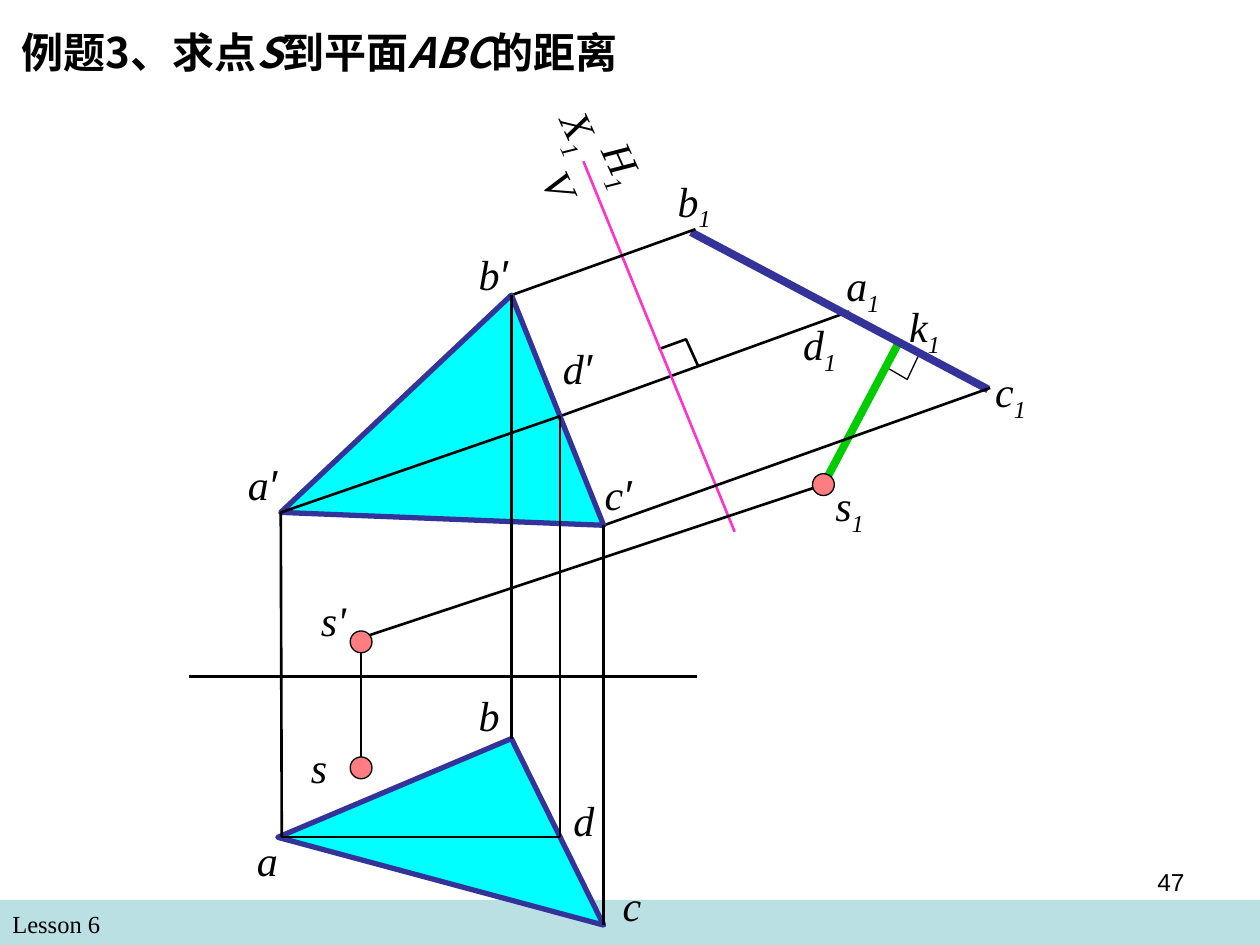
import pptx
import pptx.util
import pptx.dml.color
import pptx.enum.shapes
import pptx.enum.text
import pptx.oxml.ns
from lxml import etree
from pptx.util import Cm

COLORS = {"ink": "000000", "plane": "00FFFF", "edge": "333399", "axis": "FF33CC",
          "distance": "00CC00", "point": "FF7C80", "band": "BBE0E3"}
SERIF, SANS, CJK = "Times New Roman", "Arial", "Noto Sans CJK SC"
PRIME = "′"
DOT = 0.44
TILT = 65.6


def rgb(name):
    return pptx.dml.color.RGBColor.from_string(COLORS[name])


class Drawing:
    """Holds the style and the current slide; all lengths are centimetres."""

    def __init__(self, s):
        self.s = s
        self.line_width = 1.5
        self.label_size = 24

    def run(self, p, text, font, size, bold=False, italic=False, sub=False):
        r = p.add_run()
        r.text = text
        r.font.name, r.font.size = font, pptx.util.Pt(size)
        r.font.bold, r.font.italic = bold, italic
        r.font.color.rgb = rgb("ink")
        rPr = r._r.get_or_add_rPr()
        if sub:
            rPr.set("baseline", "-25000")
        if font == CJK:
            ea = etree.SubElement(rPr, pptx.oxml.ns.qn("a:ea"))
            ea.set("typeface", font)

    def title(self, parts, x, y, w, h):
        sp = self.s.shapes.title
        sp.left, sp.top, sp.width, sp.height = Cm(x), Cm(y), Cm(w), Cm(h)
        tf = sp.text_frame
        tf.word_wrap = True
        tf.auto_size = pptx.enum.text.MSO_AUTO_SIZE.NONE
        tf.vertical_anchor = pptx.enum.text.MSO_ANCHOR.TOP
        p = tf.paragraphs[0]
        p.alignment = pptx.enum.text.PP_ALIGN.LEFT
        for text, italic in parts:
            self.run(p, text, CJK, 24, bold=True, italic=italic)

    def box(self, x, y, w, h, rotation=0):
        sp = self.s.shapes.add_textbox(Cm(x), Cm(y), Cm(w), Cm(h))
        sp.rotation = rotation
        sp.text_frame.word_wrap = True
        return sp.text_frame.paragraphs[0]

    def label(self, letter, mark, x, y, w, rotation=0):
        p = self.box(x, y, w, 1.42 if mark == "1" else 1.27, rotation)
        self.run(p, letter, SERIF, self.label_size, italic=True)
        if mark:
            font = SANS if mark == PRIME else SERIF
            self.run(p, mark, font, self.label_size, italic=True, sub=mark == "1")

    def note(self, text, font, x, y, w, h, align):
        p = self.box(x, y, w, h)
        p.alignment = align
        self.run(p, text, font, 14)

    def line(self, start, end, color="ink", width=None):
        cx = self.s.shapes.add_connector(pptx.enum.shapes.MSO_CONNECTOR.STRAIGHT,
                                         *map(Cm, start + end))
        cx.line.color.rgb = rgb(color)
        cx.line.width = pptx.util.Pt(width or self.line_width)
        etree.SubElement(cx._element.spPr, pptx.oxml.ns.qn("a:effectLst"))

    def outline(self, points, color="ink", width=None, fill=None):
        pts = [(Cm(x), Cm(y)) for x, y in points]
        fb = self.s.shapes.build_freeform(*pts[0], scale=1.0)
        fb.add_line_segments(pts[1:], close=fill is not None)
        self.style(fb.convert_to_shape(), fill, color, width or self.line_width)

    def style(self, sp, fill, color=None, width=None):
        sp.shadow.inherit = False
        if fill:
            sp.fill.solid()
            sp.fill.fore_color.rgb = rgb(fill)
        else:
            sp.fill.background()
        if color:
            sp.line.color.rgb = rgb(color)
            sp.line.width = pptx.util.Pt(width)
        else:
            sp.line.fill.background()

    def dot(self, center):
        x, y = center
        sp = self.s.shapes.add_shape(pptx.enum.shapes.MSO_SHAPE.OVAL, Cm(x - DOT / 2),
                                     Cm(y - DOT / 2), Cm(DOT), Cm(DOT))
        self.style(sp, "point", "ink", 0.75)

    def band(self, x, y, w, h):
        sp = self.s.shapes.add_shape(pptx.enum.shapes.MSO_SHAPE.RECTANGLE,
                                     Cm(x), Cm(y), Cm(w), Cm(h))
        self.style(sp, "band")


# Points of the three views: front (2), top (0) and auxiliary (1)
a2, b2, c2, d2 = (5.66, 10.33), (10.31, 5.95), (12.17, 10.59), (11.29, 8.39)
a0, b0, c0, d0 = (5.6, 16.88), (10.31, 14.89), (12.17, 18.65), (11.29, 16.87)
a1, b1, c1, k1 = (17.12, 6.28), (13.93, 4.68), (19.92, 7.85), (18.13, 6.88)
s2, s0, s1 = (7.28, 12.94), (7.28, 15.48), (16.6, 9.77)

LABELS = [
    ("k", "1", 18.08, 5.94, 2.29), ("b", "1", 13.41, 3.4, 2.03, -0.4),
    ("a", "1", 16.81, 5.11, 1.96, -0.4), ("c", "1", 19.81, 7.24, 2.49, -0.4),
    ("d", "1", 15.94, 6.3, 1.5, -0.4), ("s", "1", 16.59, 9.55, 1.5),
    ("X", "1", 10.97, 2.06, 1.47, TILT), ("H", "1", 11.68, 2.87, 1.91, TILT),
    ("V", "", 10.49, 3.58, 2.06, TILT),
    ("a", PRIME, 4.75, 9.12, 1.5), ("b", PRIME, 9.4, 4.88, 2.08),
    ("c", PRIME, 11.94, 9.32, 1.91), ("d", PRIME, 11.1, 6.78, 1.47),
    ("s", "'", 6.22, 11.86, 1.5),
    ("a", "", 4.93, 16.69, 2.06), ("b", "", 9.4, 13.77, 1.14),
    ("c", "", 12.3, 17.6, 2.49), ("d", "", 11.31, 15.9, 1.65),
    ("s", "", 6.02, 14.83, 1.5),
]


def main():
    prs = pptx.Presentation()
    prs.slide_width, prs.slide_height = Cm(25.4), Cm(19.05)
    d = Drawing(prs.slides.add_slide(prs.slide_layouts[5]))

    # Footer and title
    align = pptx.enum.text.PP_ALIGN
    d.band(0, 18.14, 25.4, 0.91)
    d.note("Lesson 6", SERIF, 0, 18.21, 12.27, 0.86, align.LEFT)
    d.note("47", SANS, 18.21, 17.35, 5.92, 1.32, align.RIGHT)
    d.title([("例题3、求点", False), ("S", True), ("到平面", False), ("ABC", True),
             ("的距离", False)], 0.18, 0.41, 13.16, 2.2)

    # Distance and its right angle
    d.line(s1, k1, "distance", 4.5)
    d.outline([(18.52, 7.16), (18.29, 7.65), (17.93, 7.44)], width=0.75)

    # Auxiliary axis with its right angle
    d.line(d2, a1)
    d.outline([(13.28, 7.04), (13.83, 6.84), (14.07, 7.37)])
    d.line((11.76, 3.25), (14.81, 10.72), "axis")

    # Plane seen edge-on and the projectors to it
    d.line(b1, c1, "edge", 4.5)
    d.line(b2, (14.02, 4.62))
    d.line(c2, (19.96, 7.82))
    d.line((7.28, 12.86), s1)

    # Triangle in front and top view
    d.line((3.81, 13.64), (14.05, 13.64))
    for triangle in ((a2, c2, b2), (a0, b0, c0)):
        d.outline(triangle, "edge", 3, "plane")
    for upper, lower in ((a2, (5.68, 16.87)), (b2, b0), (c2, c0), (d2, d0)):
        d.line(upper, lower)
    d.line((5.66, 16.87), d0)
    d.line(a2, d2)

    # Point S
    d.line(s2, s0, width=0.75)
    for center in (s0, s1, s2):
        d.dot(center)

    # Labels
    for item in LABELS:
        d.label(*item)

    prs.save("out.pptx")


if __name__ == "__main__":
    main()
